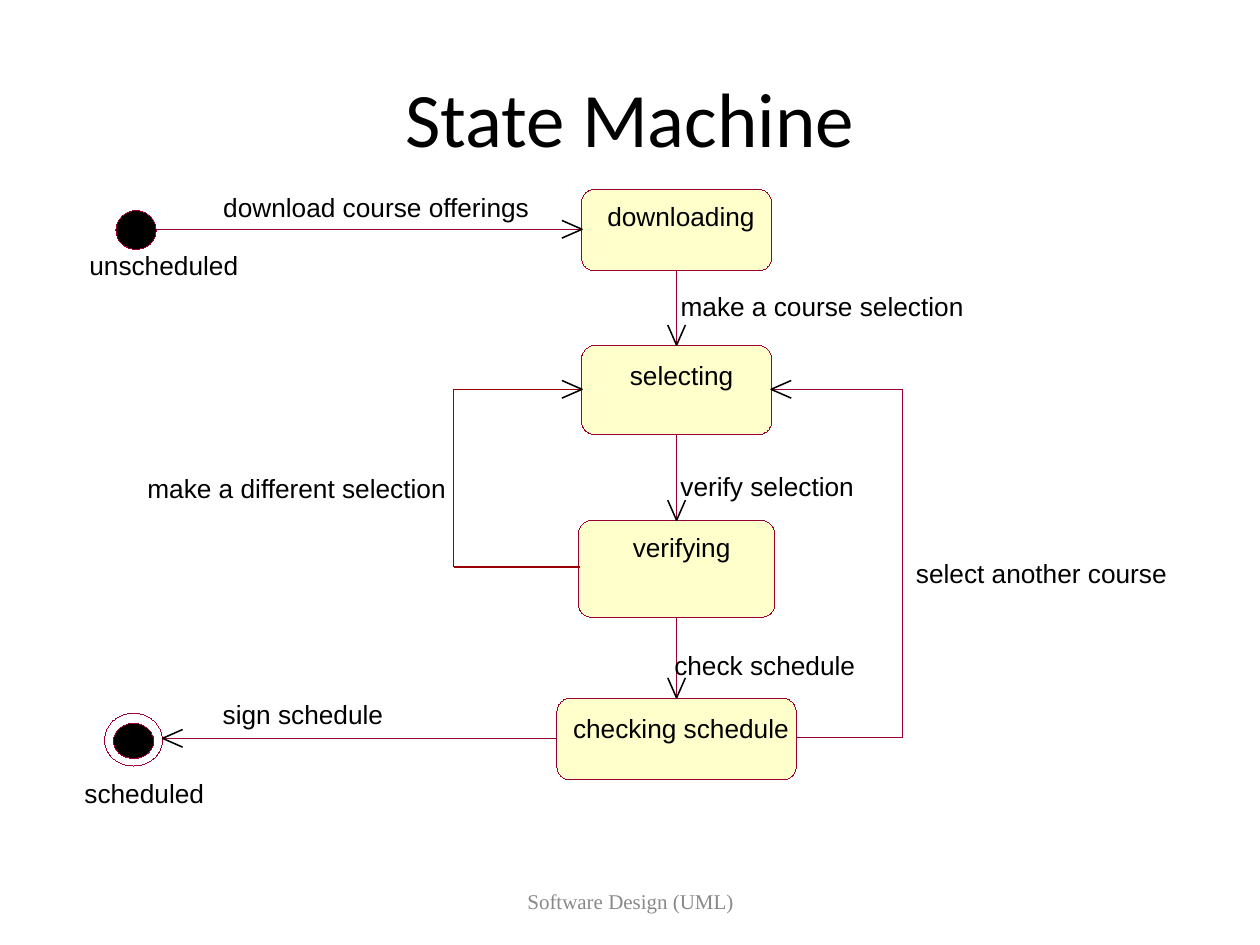
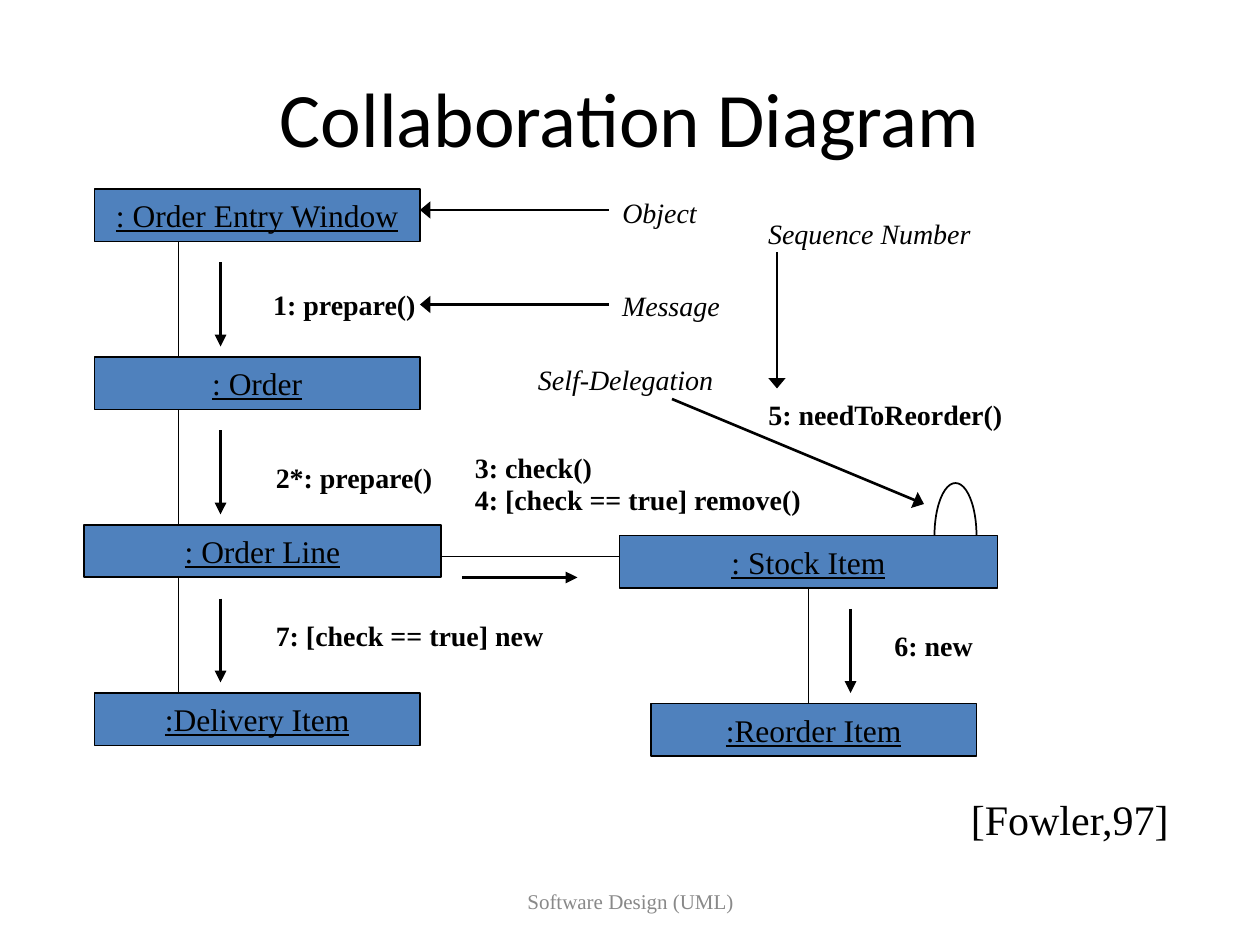
from lxml import etree
from pptx import Presentation
from pptx.dml.color import RGBColor
from pptx.enum.shapes import MSO_CONNECTOR, MSO_SHAPE
from pptx.enum.text import MSO_ANCHOR, MSO_AUTO_SIZE, PP_ALIGN
from pptx.oxml.ns import qn
from pptx.util import Inches, Pt

LINE = MSO_CONNECTOR.STRAIGHT
RECT, ROUND, OVAL = MSO_SHAPE.RECTANGLE, MSO_SHAPE.ROUNDED_RECTANGLE, MSO_SHAPE.OVAL
MID, TOP = MSO_ANCHOR.MIDDLE, MSO_ANCHOR.TOP
LEFT, CENTER = PP_ALIGN.LEFT, PP_ALIGN.CENTER
FIT = MSO_AUTO_SIZE.SHAPE_TO_FIT_TEXT

BLACK = RGBColor(0x00, 0x00, 0x00)
GRAY = RGBColor(0x89, 0x89, 0x89)
WINE = RGBColor(0x99, 0x00, 0x33)
RED = RGBColor(0x99, 0x00, 0x00)
CREAM = RGBColor(0xFF, 0xFF, 0xCC)
BLUE = RGBColor(0x4F, 0x81, 0xBD)

# Two grids: tenths and twelfths of an inch
W, H = Inches(10), Inches(7.5)
FINE, CELL = W // 100, W // 120
HAIR = 0.01  # points; a width of 0 would fall back to the theme's width
SLACK = 0.6  # spare label width that keeps words on one line

# Text styles: frame values, font values, colour, alignment
SERIF = "Times New Roman"
HUG = dict(word_wrap=False, auto_size=FIT, vertical_anchor=TOP)
TIGHT = dict(HUG, margin_left=0, margin_top=0, margin_right=0, margin_bottom=0)
PLAIN = dict(word_wrap=True, vertical_anchor=MID)
TITLE = (PLAIN, dict(name="Calibri", size=Pt(44)), BLACK, CENTER)
FOOT = (PLAIN, dict(name=SERIF, size=Pt(12)), GRAY, CENTER)
STATE = (TIGHT, dict(name="Arial", size=Pt(15)), BLACK, CENTER)
NAME = (dict(word_wrap=False, vertical_anchor=MID),
        dict(name=SERIF, size=Pt(18), underline=True), BLACK, CENTER)
CALL = (HUG, dict(name=SERIF, size=Pt(16), bold=True), BLACK, LEFT)
NOTE = (HUG, dict(name=SERIF, size=Pt(16), italic=True), BLACK, CENTER)
CITE = (HUG, dict(name=SERIF, size=Pt(24)), BLACK, CENTER)


def write(shape, words, style):
    frame_look, font_look, color, align = style
    frame = shape.text_frame
    for key, value in frame_look.items():
        setattr(frame, key, value)
    para = frame.paragraphs[0]
    para.alignment = align
    run = para.add_run()
    run.text = words
    for key, value in font_look.items():
        setattr(run.font, key, value)
    run.font.color.rgb = color


def link(slide, cell, ends, color, width, head=None):
    """Draw a line between two grid points; head is the breadth of its triangle."""
    line = slide.shapes.add_connector(LINE, *[round(v * cell) for v in ends])
    line.line.color.rgb = color
    line.line.width = Pt(width)
    props = line._element.spPr
    if head:
        etree.SubElement(props.find(qn("a:ln")), qn("a:tailEnd"), type="triangle", w=head)
    etree.SubElement(props, qn("a:effectLst"))
    return line


deck = Presentation()
deck.slide_width, deck.slide_height = W, H
pages = []
for title in ("State Machine", "Collaboration Diagram"):
    page = deck.slides.add_slide(deck.slide_layouts[6])
    pages.append(page)
    for words, box, style in (
        (title, (5, 3, 90, 12.5), TITLE),
        ("Software Design (UML)", (34.2, 69.5, 31.7, 4), FOOT),
    ):
        write(page.shapes.add_textbox(*[round(v * FINE) for v in box]), words, style)
state, collab = pages

# Shapes of both diagrams: slide, grid, kind, box, fill, line, width, name
plan = [
    (state, FINE, OVAL, (9.2, 16.7, 3.2, 3.1), BLACK, WINE, HAIR, ""),
    (state, FINE, OVAL, (8.3, 56.6, 4.6, 4.2), None, WINE, HAIR, ""),
    (state, FINE, OVAL, (9, 57.4, 3.2, 2.8), BLACK, WINE, HAIR, ""),
    (collab, CELL, OVAL, (89, 46, 4, 10), None, BLACK, 1, ""),
]
AXIS = 53.7
for top, wide, high in ((15, 15.1, 6.5), (27.4, 15.1, 7.1),
                        (41.3, 15.6, 7.7), (55.4, 19, 6.5)):
    box = (AXIS - wide / 2, top, wide, high)
    plan.append((state, FINE, ROUND, box, CREAM, WINE, HAIR, ""))
for words, left, top, wide in (
    (": Order Entry Window", 9, 18, 31),
    (": Order", 9, 34, 31),
    (": Order Line", 8, 50, 34),
    (":Delivery Item", 9, 66, 31),
    (": Stock Item", 59, 51, 36),
    (":Reorder Item", 62, 67, 31),
):
    plan.append((collab, CELL, RECT, (left, top, wide, 5), BLUE, BLACK, 1, words))

steps, named = [], {}
for slide, cell, kind, box, fill, color, width, words in plan:
    shape = slide.shapes.add_shape(kind, *[round(v * cell) for v in box])
    shape.shadow.inherit = False
    shape.line.color.rgb = color
    shape.line.width = Pt(width)
    if fill is None:
        shape.fill.background()
    else:
        shape.fill.solid()
        shape.fill.fore_color.rgb = fill
    if kind == ROUND:
        shape.adjustments[0] = 1.08 / box[3]
        steps.append(shape)
    if words:
        write(shape, words, NAME)
        named[words] = shape

# State machine: transitions
for upper, lower in zip(steps, steps[1:]):
    line = link(state, FINE, (AXIS, 0, AXIS, 1), WINE, HAIR)
    line.begin_connect(upper, 2)
    line.end_connect(lower, 0)
link(state, FINE, (12.4, 18.2, 46.2, 18.2), WINE, HAIR).end_connect(steps[0], 1)
link(state, FINE, (44.2, 58.6, 12.9, 58.6), WINE, HAIR).begin_connect(steps[3], 1)
loop = [(46, 45), (36, 45), (36, 30.9), (46, 30.9)]
for start, end in zip(loop, loop[1:]):
    link(state, FINE, (*start, *end), RED, 0.75)

# Open paths: the way back to selecting, then a V at each arrow tip
paths = [([(63.2, 58.5), (71.6, 58.5), (71.6, 30.9), (61.2, 30.9)], WINE, HAIR)]
for x, y, dx, dy in ((AXIS, 27.4, 0, 1), (AXIS, 41.3, 0, 1), (AXIS, 55.4, 0, 1),
                     (46.2, 18.2, 1, 0), (46.2, 30.9, 1, 0),
                     (61.2, 30.9, -1, 0), (12.9, 58.6, -1, 0)):
    back, side = 1.6, 0.7
    wings = [(x - back * dx + s * dy, y - back * dy + s * dx) for s in (side, -side)]
    paths.append(([wings[0], (x, y), wings[1]], BLACK, 0.88))
for points, color, width in paths:
    first, *rest = [(round(x * FINE), round(y * FINE)) for x, y in points]
    pen = state.shapes.build_freeform(*first)
    pen.add_line_segments(rest, close=False)
    trace = pen.convert_to_shape()
    trace.shadow.inherit = False
    trace.fill.background()
    trace.line.color.rgb = color
    trace.line.width = Pt(width)

# Collaboration diagram: links, message arrows, pointers
for row in (18, 34, 50):
    link(collab, CELL, (17, row + 5, 17, row + 16), BLACK, 1)
    link(collab, CELL, (21, row + 7, 21, row + 15), BLACK, 2.25, "med")
link(collab, CELL, (77, 56, 77, 67), BLACK, 1).begin_connect(named[": Stock Item"], 2)
link(collab, CELL, (42, 53, 59, 53), BLACK, 1)
link(collab, CELL, (81, 58, 81, 66), BLACK, 2.25, "med")
link(collab, CELL, (44, 55, 55, 55), BLACK, 2.25, "med")
for ends in ((58, 20, 40, 20), (58, 29, 40, 29), (74, 24, 74, 37), (64, 38, 88, 48)):
    link(collab, CELL, ends, BLACK, 1.5, "lg")

# Labels: left, top, width in tenths, grouped by slide, style and height
labels = (
    (state, STATE, 2.5, (
        ("downloading", 48.2, 15.9, 11.7),
        ("selecting", 50, 28.5, 8.2),
        ("verifying", 50.2, 42.2, 7.8),
        ("checking schedule", 45.5, 56.5, 17.1),
        ("download course offerings", 17.7, 15.2, 24.3),
        ("make a course selection", 54, 23, 22.5),
        ("verify selection", 54, 37.3, 13.8),
        ("check schedule", 53.5, 51.5, 14.4),
        ("select another course", 72.7, 44.2, 19.9),
        ("make a different selection", 11.7, 37.5, 23.7),
        ("unscheduled", 7.1, 19.8, 11.8),
        ("scheduled", 6.7, 61.7, 9.5),
        ("sign schedule", 17.7, 55.4, 12.7),
    )),
    (collab, CALL, 3.7, (
        ("1: prepare()", 20.7, 22.3, 13.4),
        ("2*: prepare()", 20.9, 36.1, 14.5),
        ("3: check()", 36.7, 35.3, 11.3),
        ("4: [check == true] remove()", 36.7, 37.8, 27.9),
        ("5: needToReorder()", 60, 31.1, 20.8),
        ("6: new", 70, 49.4, 8.2),
        ("7: [check == true] new", 20.9, 48.6, 23.2),
    )),
    (collab, NOTE, 3.7, (
        ("Object", 48.4, 15, 7.9),
        ("Message", 48.4, 22.4, 9.7),
        ("Sequence Number", 60, 16.7, 18),
        ("Self-Delegation", 41.7, 28.3, 15.9),
    )),
    (collab, CITE, 5, (("[Fowler,97]", 76, 62.5, 17.8),)),
)
for slide, style, high, rows in labels:
    shift = SLACK / 2 if style[3] == CENTER else 0
    for words, left, top, wide in rows:
        spot = (left - shift, top, wide + SLACK, high)
        box = slide.shapes.add_textbox(*[round(v * FINE) for v in spot])
        write(box, words, style)

deck.save("out.pptx")
